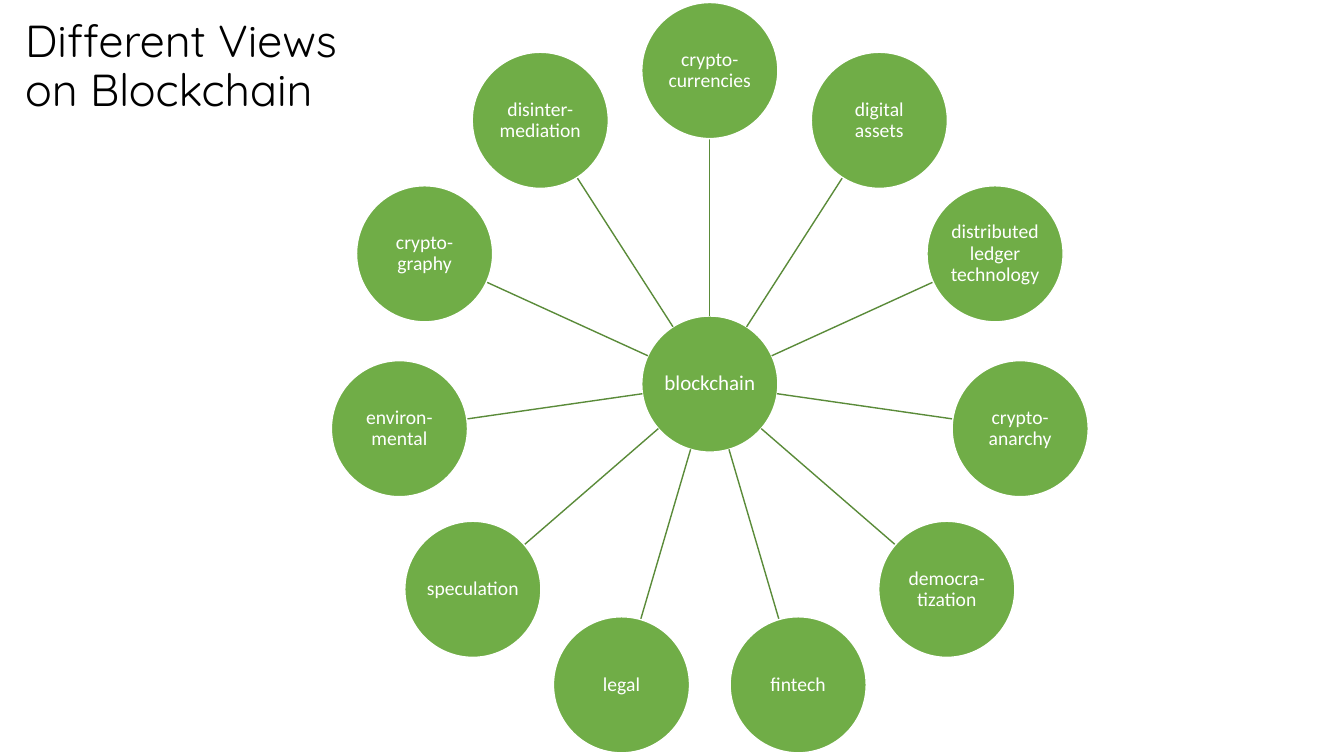
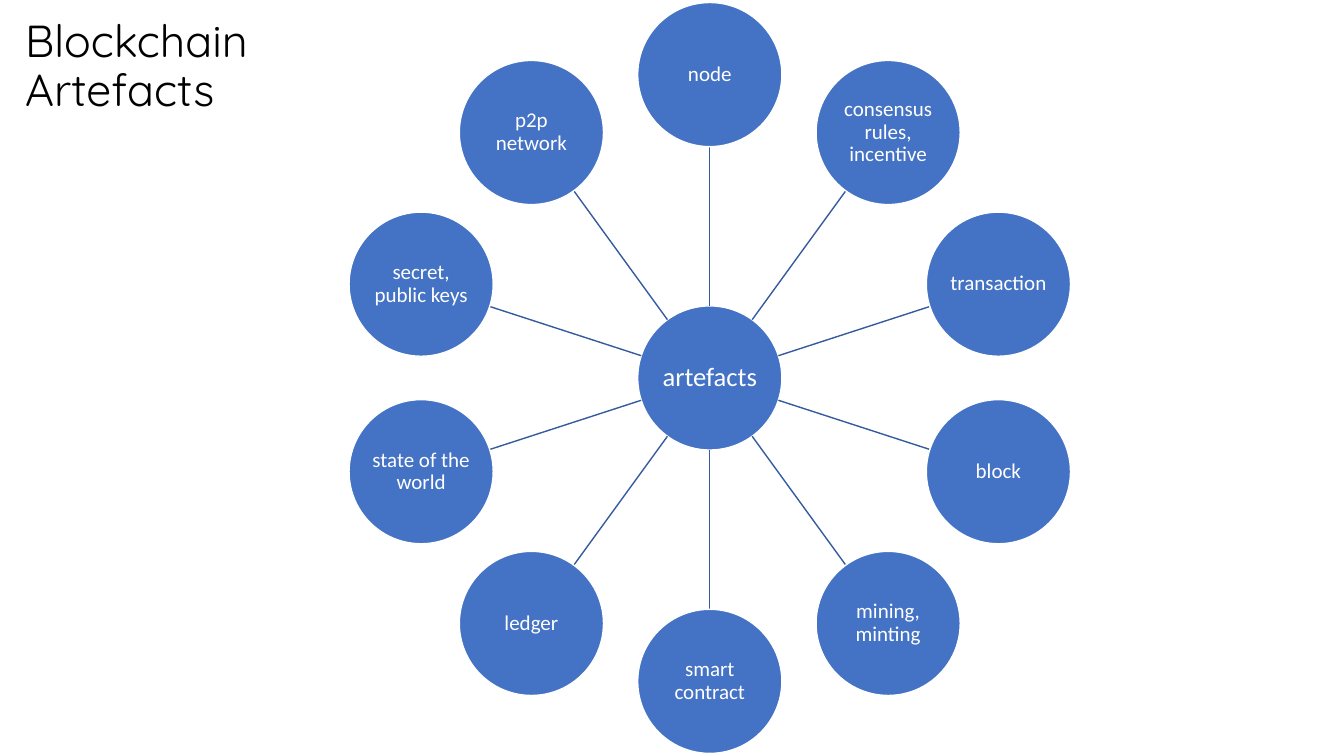
import math

from pptx import Presentation, util as u
from pptx.dml import color
from pptx.enum import shapes, text
from pptx.oxml import xmlchemy

TITLE_ONLY = 5


def rgb(value):
    return color.RGBColor.from_string(value)


def apply(target, values):
    for name, value in values.items():
        setattr(target, name, value)


class Deck:
    """Holds the shared style and the current slide."""

    title_box = dict(left=u.Inches(0.15), top=u.Inches(0.14),
                     width=u.Inches(6.89), height=u.Inches(1.45))
    title_frame = dict(vertical_anchor=text.MSO_ANCHOR.TOP,
                       auto_size=text.MSO_AUTO_SIZE.NONE, word_wrap=True)
    title_font = dict(name="Quicksand", size=u.Pt(32))
    circle_frame = dict(vertical_anchor=text.MSO_ANCHOR.MIDDLE, word_wrap=True,
                        **{f"margin_{side}": u.Inches(0.01)
                           for side in ("left", "top", "right", "bottom")})

    def __init__(self):
        self.presentation = Presentation()
        apply(self.presentation, dict(slide_width=u.Inches(13.33),
                                      slide_height=u.Inches(7.5)))
        self.slide = None

    def add_slide(self, title):
        layout = self.presentation.slide_layouts[TITLE_ONLY]
        self.slide = self.presentation.slides.add_slide(layout)
        shape = self.slide.shapes.title
        apply(shape, self.title_box)
        apply(shape.text_frame, self.title_frame)
        self.set_text(shape, title, self.title_font, "000000",
                      text.PP_ALIGN.LEFT)

    def set_text(self, shape, words, font, font_color, alignment):
        shape.text_frame.text = words
        for paragraph in shape.text_frame.paragraphs:
            apply(paragraph, dict(alignment=alignment, line_spacing=0.9))
            for run in paragraph.runs:
                apply(run.font, font)
                run.font.color.rgb = rgb(font_color)

    def circle(self, x, y, diameter, words, size, fill):
        shape = self.slide.shapes.add_shape(
            shapes.MSO_SHAPE.OVAL,
            u.Inches(x - diameter / 2), u.Inches(y - diameter / 2),
            u.Inches(diameter), u.Inches(diameter))
        shape.shadow.inherit = False
        shape.fill.solid()
        shape.fill.fore_color.rgb = rgb(fill)
        shape.line.color.rgb = rgb("FFFFFF")
        shape.line.width = u.Pt(1)
        apply(shape.text_frame, self.circle_frame)
        self.set_text(shape, words, dict(name="Calibri", size=u.Pt(size)),
                      "FFFFFF", text.PP_ALIGN.CENTER)

    def spoke(self, start, end, line_color):
        connector = self.slide.shapes.add_connector(
            shapes.MSO_CONNECTOR.STRAIGHT, *map(u.Inches, start + end))
        connector.line.color.rgb = rgb(line_color)
        connector.line.width = u.Pt(1)
        properties = connector._element.spPr
        properties.append(xmlchemy.OxmlElement("a:effectLst"))

    def wheel(self, hub, labels, center, orbit, diameter, sizes, fill, line):
        """Hub in the middle, labels clockwise from the top."""
        hub_size, label_size = sizes

        def point(angle, distance):
            return (center[0] + distance * math.sin(angle),
                    center[1] - distance * math.cos(angle))

        self.circle(*center, diameter, hub, hub_size, fill)
        for index, label in enumerate(labels):
            angle = 2 * math.pi * index / len(labels)
            self.spoke(point(angle, diameter / 2),
                       point(angle, orbit - diameter / 2), line)
            self.circle(*point(angle, orbit), diameter, label, label_size, fill)


def main():
    deck = Deck()

    # Views
    deck.add_slide("Different Views\non Blockchain")
    deck.wheel("blockchain",
               ["crypto-currencies", "digital assets",
                "distributed ledger technology", "crypto-anarchy",
                "democra-tization", "fintech", "legal", "speculation",
                "environ-mental", "crypto-graphy", "disinter-mediation"],
               center=(7.04, 3.81), orbit=3.11, diameter=1.35,
               sizes=(15, 14), fill="70AD47", line="5A8B39")

    # Artefacts
    deck.add_slide("Blockchain\vArtefacts")
    deck.wheel("artefacts",
               ["node", "consensus rules, incentive", "transaction", "block",
                "mining, minting", "smart contract", "ledger",
                "state of the world", "secret, public keys", "p2p network"],
               center=(7.04, 3.75), orbit=3.01, diameter=1.43,
               sizes=(19, 15), fill="4472C4", line="365B9D")

    deck.presentation.save("out.pptx")


if __name__ == "__main__":
    main()
